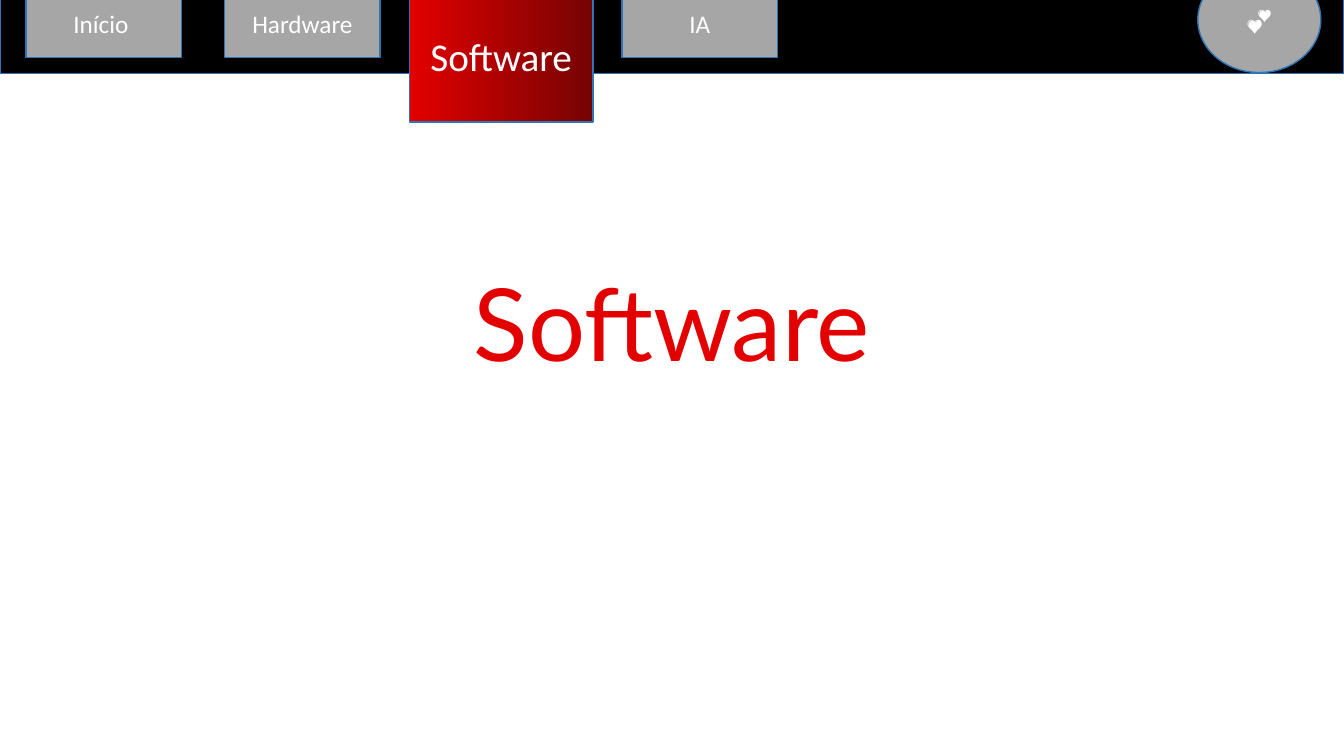
"""Build the Software section slide with its row of navigation tabs."""
from lxml.etree import fromstring
from pptx import Presentation
from pptx.dml.color import RGBColor
from pptx.enum.shapes import MSO_SHAPE
from pptx.enum.text import MSO_ANCHOR, MSO_AUTO_SIZE, PP_ALIGN
from pptx.util import Inches, Pt

TITLE = "Software"
TABS = ["Início ", "Hardware", "Software", "IA"]
ACTIVE = 2
BADGE = "💕"
HEX = {"bar": "000000", "tab": "A6A6A6", "edge": "2E75B6", "text": "FFFFFF",
       "red": "E30000", "dark": "760303", "rim": "202020"}
WIDE, HIGH = 13.33, 7.5
LEFT, TOP, PITCH = 0.26, -0.1, 1.97
SIZES = {False: (1.54, 0.67, 18), True: (1.82, 1.31, 28)}
NS = "http://schemas.openxmlformats.org/drawingml/2006/main"


def tone(name):
    return RGBColor.from_string(HEX[name])


def apply(item, form):
    for key, value in form.items():
        setattr(item, key, value)


def place(box):
    return dict(zip(("left", "top", "width", "height"), map(Inches, box)))


def blend(fill):
    fill.gradient()
    fill.gradient_angle = 0
    for stop, name in zip(fill.gradient_stops, ("red", "dark")):
        stop.color.rgb = tone(name)
        stop.position = 0 if name == "red" else 1


def write(shape, text, face, size, anchor, gap):
    frame = shape.text_frame
    apply(frame, {"word_wrap": True, "auto_size": MSO_AUTO_SIZE.NONE,
                  "vertical_anchor": anchor})
    para = frame.paragraphs[0]
    apply(para, {"alignment": PP_ALIGN.CENTER, "line_spacing": gap})
    run = para.add_run()
    run.text = text
    apply(run.font, {"name": face, "size": Pt(size), "bold": False})
    return run


def draw(slide, kind, box, fill, text="", size=18):
    shape = slide.shapes.add_shape(kind, *place(box).values())
    shape.shadow.inherit = False
    if fill == "blend":
        blend(shape.fill)
    else:
        shape.fill.solid()
        shape.fill.fore_color.rgb = tone(fill)
    shape.line.color.rgb = tone("edge")
    shape.line.width = Pt(1)
    if text:
        run = write(shape, text, "Calibri", size, MSO_ANCHOR.MIDDLE, 1.0)
        run.font.color.rgb = tone("text")


def main():
    deck = Presentation()
    apply(deck, {"slide_width": Inches(WIDE), "slide_height": Inches(HIGH)})
    slide = deck.slides.add_slide(deck.slide_layouts[0])
    sub = slide.placeholders[1].element
    sub.getparent().remove(sub)

    title = slide.shapes.title
    apply(title, place(((WIDE - 10) / 2, 1.45, 10, 2.39)))
    run = write(title, TITLE, "Lato", 72, MSO_ANCHOR.BOTTOM, 1.3)
    blend(run.font.fill)
    rim = fromstring(f'<a:ln xmlns:a="{NS}" w="{Pt(0.75)}"><a:solidFill>'
                     f'<a:srgbClr val="{HEX["rim"]}"/></a:solidFill></a:ln>')
    run.font._element.insert(0, rim)

    block = MSO_SHAPE.FLOWCHART_PROCESS
    draw(slide, block, (0, -0.45, WIDE, 1.18), "bar")
    for col, name in enumerate(TABS):
        live = col == ACTIVE
        wide, high, size = SIZES[live]
        mid = LEFT + col * PITCH + SIZES[False][0] / 2
        draw(slide, block, (mid - wide / 2, TOP, wide, high),
             "blend" if live else "tab", name, size)
    draw(slide, MSO_SHAPE.OVAL, (11.88, -0.33, 1.22, 1.05), "tab", BADGE)
    deck.save("out.pptx")


if __name__ == "__main__":
    main()
